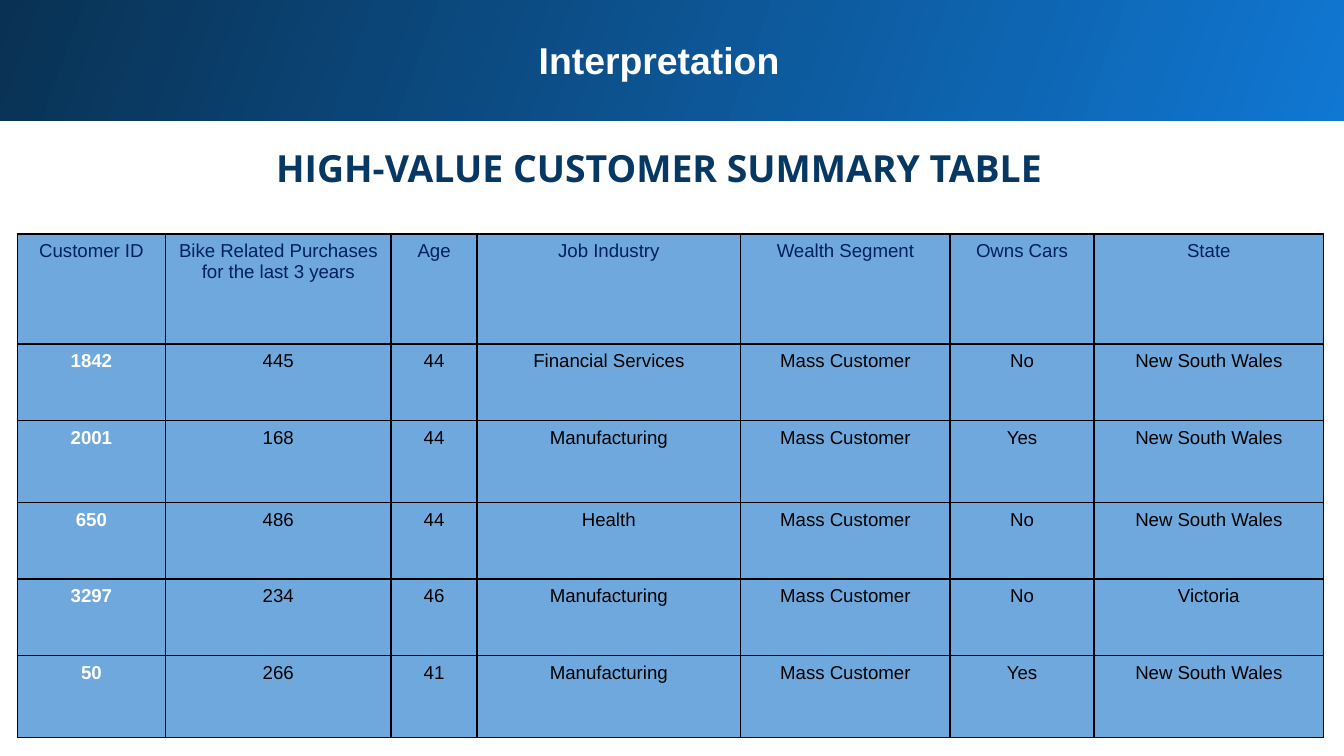
import pptx
import pptx.util
import pptx.dml.color
import pptx.enum.shapes
import pptx.enum.text
import pptx.oxml
import pptx.oxml.ns

Inches = pptx.util.Inches
Pt = pptx.util.Pt

TITLE = "Interpretation"
SUBTITLE = "HIGH-VALUE CUSTOMER SUMMARY TABLE"
HEADERS = ["Customer ID", "Bike Related Purchases for the last 3 years", "Age",
           "Job Industry", "Wealth Segment", "Owns Cars", "State"]
CUSTOMERS = [
    ["1842", "445", "44", "Financial Services", "Mass Customer", "No", "New South Wales"],
    ["2001", "168", "44", "Manufacturing", "Mass Customer", "Yes", "New South Wales"],
    ["650", "486", "44", "Health", "Mass Customer", "No", "New South Wales"],
    ["3297", "234", "46", "Manufacturing", "Mass Customer", "No", "Victoria"],
    ["50", "266", "41", "Manufacturing", "Mass Customer", "Yes", "New South Wales"],
]

COLORS = {
    "banner_light": "1077D2", "banner_dark": "093153", "subtitle": "073763",
    "cell": "6FA8DC", "header": "002060", "white": "FFFFFF", "black": "000000",
}

SLIDE_WIDTH = 10
SLIDE_HEIGHT = SLIDE_WIDTH * 9 / 16
BLEED = 0.02
BANNER_BOTTOM = 0.9
TEXT_LEFT, TEXT_WIDTH = 0.22, 9.37
TABLE_LEFT, TABLE_TOP = 0.13, 1.74
COLUMN_WIDTHS = [1.1, 1.68, 0.64, 1.96, 1.56, 1.07, 1.71]
ROW_HEIGHTS = [0.82, 0.57, 0.61, 0.57, 0.57, 0.61]


def color(name):
    return pptx.dml.color.RGBColor.from_string(COLORS[name])


def style(paragraph, font_name, size, color_name, bold):
    paragraph.alignment = pptx.enum.text.PP_ALIGN.CENTER
    font = paragraph.font
    font.name, font.size, font.bold = font_name, Pt(size), bold
    font.color.rgb = color(color_name)


def add_banner(slide):
    banner = slide.shapes.add_shape(
        pptx.enum.shapes.MSO_SHAPE.RECTANGLE, Inches(-BLEED), Inches(-BLEED),
        Inches(SLIDE_WIDTH + 2.5 * BLEED), Inches(BANNER_BOTTOM + BLEED))
    banner.shadow.inherit = False
    banner.line.fill.background()
    banner.fill.gradient()
    banner.fill.gradient_angle = 160
    for stop, position, name in zip(banner.fill.gradient_stops, (0, 1),
                                    ("banner_light", "banner_dark")):
        stop.position = position
        stop.color.rgb = color(name)


def add_heading(slide, text, top, height, font_name, color_name, line_spacing):
    box = slide.shapes.add_textbox(Inches(TEXT_LEFT), Inches(top),
                                   Inches(TEXT_WIDTH), Inches(height))
    frame = box.text_frame
    frame.word_wrap = True
    frame.margin_left = frame.margin_right = Inches(0.1)
    frame.margin_top = frame.margin_bottom = Inches(0.1)
    paragraph = frame.paragraphs[0]
    paragraph.text = text
    paragraph.line_spacing = line_spacing
    style(paragraph, font_name, 20, color_name, True)


def add_borders(cell):
    """Draw a 1 pt black line on all four sides; lines must precede the fill."""
    properties = cell._tc.get_or_add_tcPr()
    for index, side in enumerate(("lnL", "lnR", "lnT", "lnB")):
        line = pptx.oxml.parse_xml(
            f'<a:{side} {pptx.oxml.ns.nsdecls("a")} w="{Pt(1)}"><a:solidFill>'
            f'<a:srgbClr val="{COLORS["black"]}"/></a:solidFill></a:{side}>')
        properties.insert(index, line)


def add_customer_table(slide):
    rows = [HEADERS] + CUSTOMERS
    table = slide.shapes.add_table(
        len(rows), len(HEADERS), Inches(TABLE_LEFT), Inches(TABLE_TOP),
        Inches(sum(COLUMN_WIDTHS)), Inches(sum(ROW_HEIGHTS))).table
    table.first_row = table.horz_banding = False
    for column, width in zip(table.columns, COLUMN_WIDTHS):
        column.width = Inches(width)
    for row, height in zip(table.rows, ROW_HEIGHTS):
        row.height = Inches(height)

    for row_index, row in enumerate(rows):
        for column_index, text in enumerate(row):
            is_header = row_index == 0
            is_id = column_index == 0 and not is_header
            cell = table.cell(row_index, column_index)
            cell.text = text
            cell.fill.solid()
            cell.fill.fore_color.rgb = color("cell")
            color_name = "header" if is_header else "white" if is_id else "black"
            style(cell.text_frame.paragraphs[0], "Arial", 10, color_name, is_id)
            add_borders(cell)


def main():
    presentation = pptx.Presentation()
    presentation.slide_width = Inches(SLIDE_WIDTH)
    presentation.slide_height = Inches(SLIDE_HEIGHT)
    slide = presentation.slides.add_slide(presentation.slide_layouts[6])
    add_banner(slide)
    add_heading(slide, TITLE, 0.18, 0.64, "Arial", "white", 1.0)
    add_heading(slide, SUBTITLE, 0.93, 0.56, "Open Sans", "subtitle", 1.15)
    add_customer_table(slide)
    presentation.save("out.pptx")


if __name__ == "__main__":
    main()
